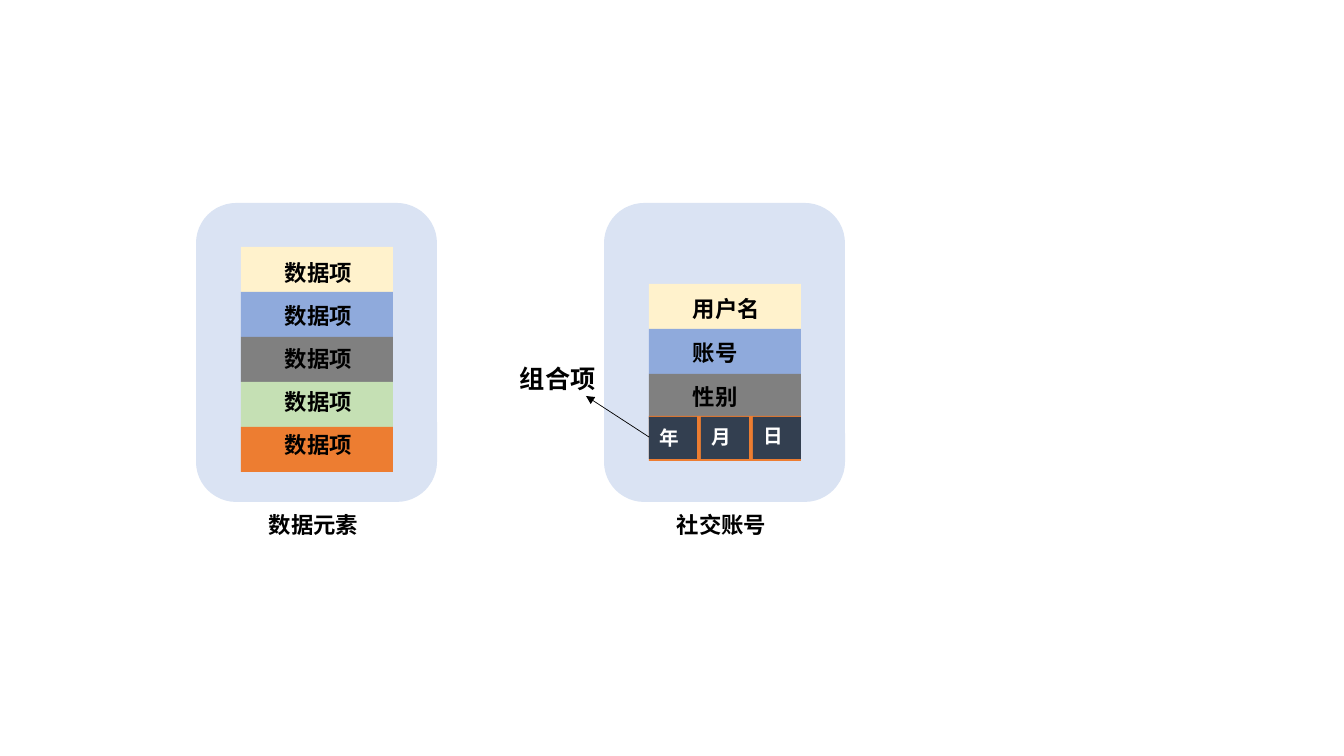
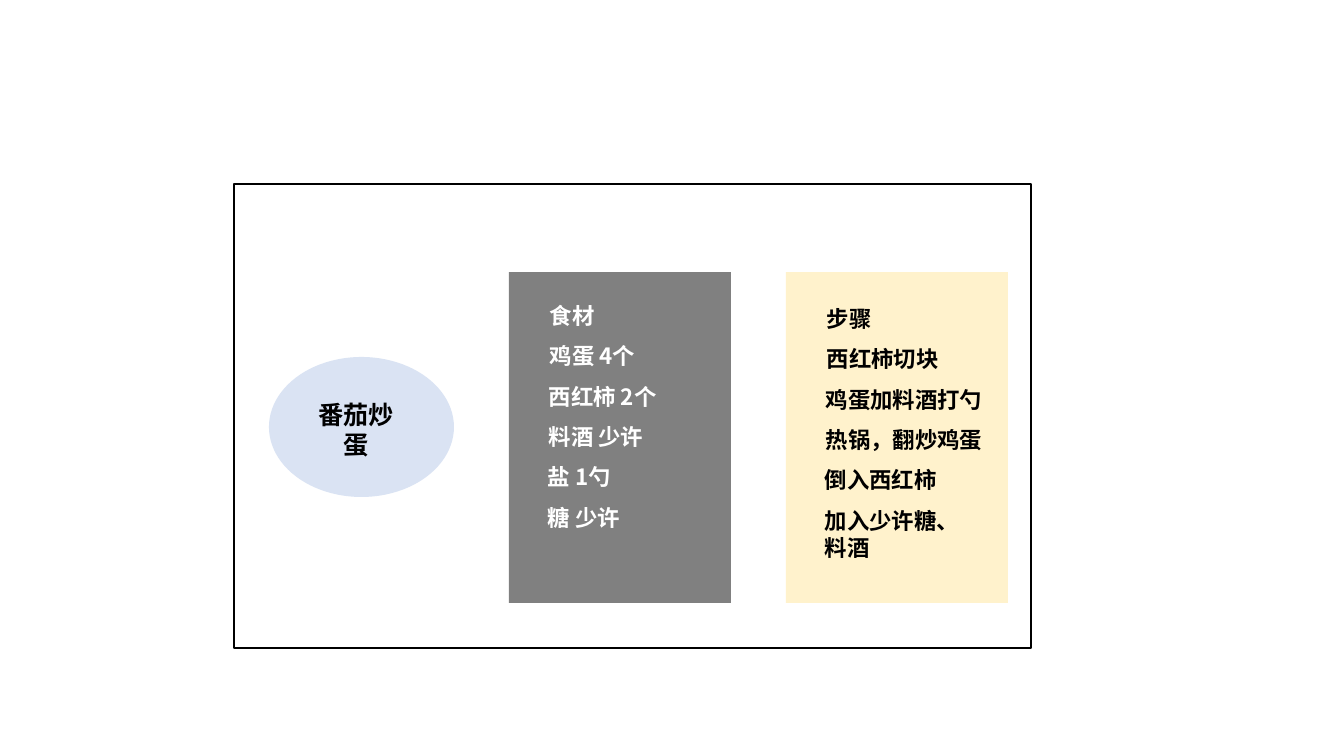
from lxml import etree
from pptx import Presentation
from pptx.dml.color import RGBColor
from pptx.enum.shapes import MSO_CONNECTOR, MSO_SHAPE
from pptx.enum.text import MSO_AUTO_SIZE, PP_ALIGN
from pptx.oxml.ns import qn
from pptx.util import Emu, Pt

RECT = MSO_SHAPE.RECTANGLE
ROUNDED = MSO_SHAPE.ROUNDED_RECTANGLE
OVAL = MSO_SHAPE.OVAL
STRAIGHT = MSO_CONNECTOR.STRAIGHT
FIT_TEXT = MSO_AUTO_SIZE.SHAPE_TO_FIT_TEXT
LEFT, CENTER = PP_ALIGN.LEFT, PP_ALIGN.CENTER

PX_PER_INCH = 100.8
FONT = "Noto Sans CJK SC"
COLORS = {
    "black": "000000",
    "white": "FFFFFF",
    "pale_blue": "DAE3F3",
    "cream": "FFF2CC",
    "blue": "8FAADC",
    "gray": "808080",
    "green": "C5E0B4",
    "orange": "ED7D31",
    "slate": "333F50",
}
ROW_HEIGHT = 45
ROW_WIDTH = 152


def px(length):
    return Emu(round(length * 914400 / PX_PER_INCH))


def rgb(name):
    return RGBColor.from_string(COLORS[name])


class Deck:
    def __init__(self):
        self.presentation = Presentation()
        self.presentation.slide_width = px(1344)
        self.presentation.slide_height = px(756)
        self.slide = None

    def new_slide(self):
        blank = self.presentation.slide_layouts[6]
        self.slide = self.presentation.slides.add_slide(blank)

    def block(self, kind, left, top, width, height, fill=None, outline=None):
        block = self.slide.shapes.add_shape(
            kind, px(left), px(top), px(width), px(height))
        block.shadow.inherit = False
        if fill:
            block.fill.solid()
            block.fill.fore_color.rgb = rgb(fill)
        else:
            block.fill.background()
        if outline:
            block.line.color.rgb = rgb(outline)
            block.line.width = Pt(1)
        else:
            block.line.fill.background()

    def label(self, text, left, top, width, height=37, size=16,
              color="black", align=LEFT, wrap=True):
        label = self.slide.shapes.add_textbox(
            px(left), px(top), px(width), px(height))
        frame = label.text_frame
        frame.word_wrap = wrap
        frame.auto_size = FIT_TEXT
        paragraph = frame.paragraphs[0]
        paragraph.text = text
        paragraph.alignment = align
        font = paragraph.font
        font.size = Pt(size)
        font.bold = True
        font.color.rgb = rgb(color)
        font.name = FONT
        defaults = paragraph._p.pPr.find(qn("a:defRPr"))
        etree.SubElement(defaults, qn("a:ea"), typeface=FONT)

    def arrow(self, start, end):
        arrow = self.slide.shapes.add_connector(
            STRAIGHT, *map(px, start + end))
        arrow.line.color.rgb = rgb("black")
        arrow.line.width = Pt(0.5)
        properties = arrow._element.spPr
        line = properties.find(qn("a:ln"))
        etree.SubElement(line, qn("a:tailEnd"), type="triangle")
        etree.SubElement(properties, qn("a:effectLst"))

    def record(self, left, caption, rows, rows_top, label_top, label_pitch):
        self.block(ROUNDED, left, 203, 241, 299, "pale_blue")
        for i, (text, fill) in enumerate(rows):
            self.block(RECT, left + 45, rows_top + i * ROW_HEIGHT,
                       ROW_WIDTH, ROW_HEIGHT, fill)
            self.label(text, left + 79, label_top + i * label_pitch, 117)
        self.label(caption, left + 63, 506, ROW_WIDTH)

    def listing(self, left, top, items, fill, color):
        self.block(RECT, left, 272, 222, 331, fill)
        for i, (text, width, height) in enumerate(items):
            self.label(text, left + 31 - i // 2, top + i * 40.4,
                       width, height, color=color)


def data_element_slide(deck):
    deck.new_slide()
    fills = ["cream", "blue", "gray", "green", "orange"]
    deck.record(196, "数据元素", [("数据项", fill) for fill in fills],
                247, 254, 43)
    deck.record(604, "社交账号", list(zip(["用户名", "账号", "性别"], fills)),
                284, 290, 44)

    deck.block(RECT, 649, 416, ROW_WIDTH, ROW_HEIGHT, "orange")
    for i, part in enumerate("年月日"):
        deck.block(RECT, 649 + i * 52, 417, 48, 42, "slate")
        deck.label(part, 650 + i * 52, 421 - i, 28, 34, 14, "white")
    deck.arrow((649, 437), (586, 396))
    deck.label("组合项", 510, 358, 97, 40, 18, wrap=False)


def recipe_slide(deck):
    deck.new_slide()
    deck.block(RECT, 234, 184, 797, 464, outline="black")
    deck.block(OVAL, 269, 357, 185, 140, "pale_blue")
    deck.label("番茄炒蛋", 301, 394, 110, 72, 18, align=CENTER)

    ingredients = ["食材", "鸡蛋 4个", "西红柿 2个", "料酒 少许", "盐 1勺", "糖 少许"]
    deck.listing(509, 297, [(text, 160, 37) for text in ingredients],
                 "gray", "white")
    steps = [
        ("步骤", 160, 37),
        ("西红柿切块", 160, 37),
        ("鸡蛋加料酒打勺", 199, 37),
        ("热锅，翻炒鸡蛋", 181, 37),
        ("倒入西红柿", 160, 37),
        ("加入少许糖、料酒", 160, 64),
    ]
    deck.listing(786, 300, steps, "cream", "black")


def main():
    deck = Deck()
    data_element_slide(deck)
    recipe_slide(deck)
    deck.presentation.save("out.pptx")


if __name__ == "__main__":
    main()
